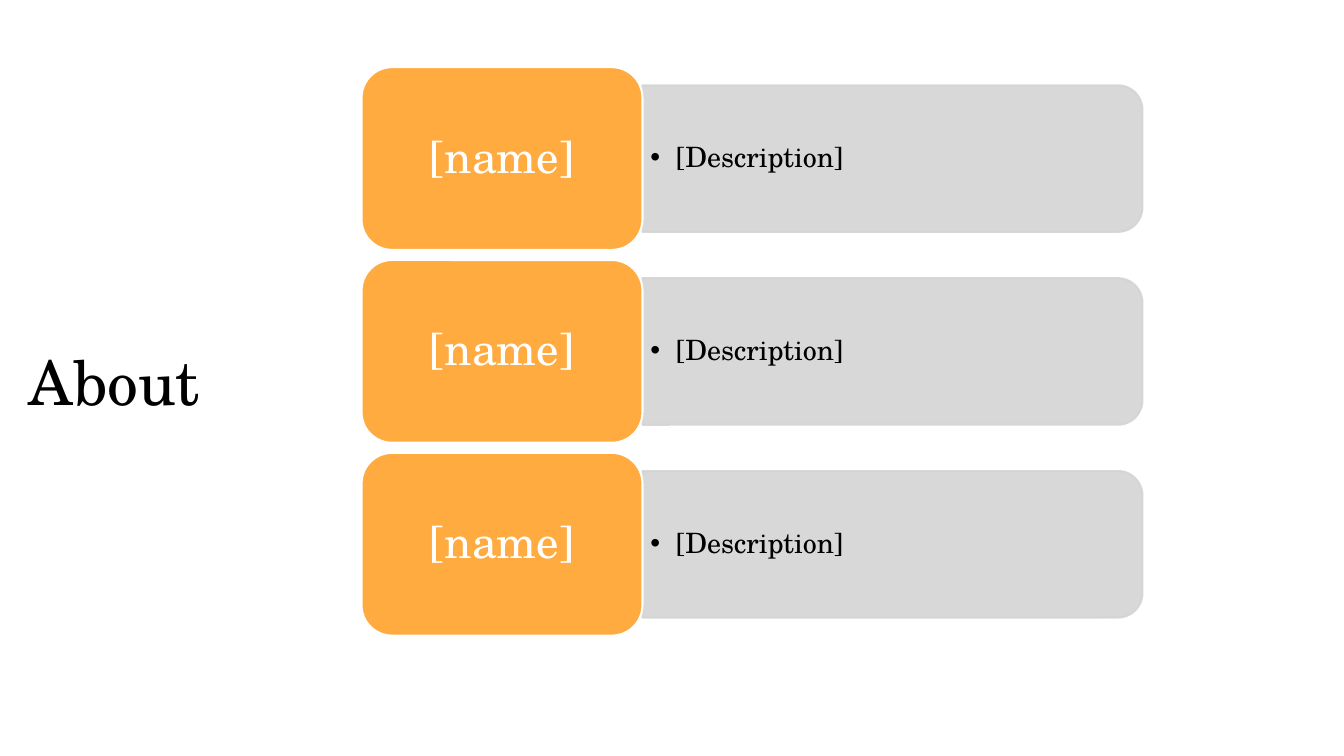
from lxml.etree import SubElement
from pptx import Presentation
from pptx.dml.color import RGBColor
from pptx.enum.shapes import MSO_SHAPE
from pptx.enum.text import MSO_ANCHOR, MSO_AUTO_SIZE, PP_ALIGN
from pptx.oxml.ns import qn
from pptx.util import Inches, Pt

COLORS = {"card": "FFAB40", "panel": "D4D4D5", "white": "FFFFFF", "black": "000000"}
FONT = "TeX Gyre Schola"
ROWS = [("[name]", "[Description]")] * 3

# Row grid, in inches
FIRST_TOP, LAST_TOP = 0.5, 3.37
ROW_PITCH = (LAST_TOP - FIRST_TOP) / (len(ROWS) - 1)
CARD_LEFT, CARD_WIDTH, CARD_HEIGHT = 2.69, 2.09, 1.36
PANEL_LEFT = CARD_LEFT + CARD_WIDTH
PANEL_WIDTH, PANEL_HEIGHT = 3.72, 1.09
TEXT_WIDTH, TEXT_HEIGHT = 3.67, 0.98


def color(name):
    return RGBColor.from_string(COLORS[name])


def write_text(shape, text, size, color_name, anchor, align, margins):
    """Write one formatted paragraph and return it."""
    frame = shape.text_frame
    frame.word_wrap = True
    frame.auto_size = MSO_AUTO_SIZE.NONE
    frame.vertical_anchor = anchor
    frame.margin_left = frame.margin_right = Inches(margins[0])
    frame.margin_top = frame.margin_bottom = Inches(margins[1])
    paragraph = frame.paragraphs[0]
    paragraph.alignment = align
    paragraph.line_spacing = 0.9
    run = paragraph.add_run()
    run.text = text
    run.font.name = FONT
    run.font.size = Pt(size)
    run.font.color.rgb = color(color_name)
    return paragraph


def add_bullet(paragraph):
    paragraph.level = 1
    properties = paragraph._p.get_or_add_pPr()
    properties.set("marL", str(Inches(0.19)))
    properties.set("indent", str(Inches(-0.19)))
    bullet_color = SubElement(properties, qn("a:buClr"))
    SubElement(bullet_color, qn("a:srgbClr"), val=COLORS["black"])
    SubElement(properties, qn("a:buFont"), typeface="Arial")
    SubElement(properties, qn("a:buChar"), char="•")


def add_block(slide, preset, left, top, width, height, fill, line):
    shape = slide.shapes.add_shape(
        preset, Inches(left), Inches(top), Inches(width), Inches(height))
    shape.shadow.inherit = False
    shape.adjustments[0] = 0.167
    shape.fill.solid()
    shape.fill.fore_color.rgb = color(fill)
    shape.line.color.rgb = color(line)
    shape.line.width = Pt(1.1)
    return shape


def add_panel(slide, middle, description):
    # The preset is rounded at the top, so a quarter turn rounds the right side
    center = PANEL_LEFT + PANEL_WIDTH / 2
    panel = add_block(slide, MSO_SHAPE.ROUND_2_SAME_RECTANGLE,
                      center - PANEL_HEIGHT / 2, middle - PANEL_WIDTH / 2,
                      PANEL_HEIGHT, PANEL_WIDTH, "panel", "panel")
    panel.rotation = 90
    for rgb in panel._element.spPr.iter(qn("a:srgbClr")):
        SubElement(rgb, qn("a:alpha"), val="90000")

    # Upright text over the turned panel
    box = slide.shapes.add_textbox(
        Inches(PANEL_LEFT), Inches(middle - TEXT_HEIGHT / 2),
        Inches(TEXT_WIDTH), Inches(TEXT_HEIGHT))
    paragraph = write_text(box, description, 15, "black", MSO_ANCHOR.MIDDLE,
                           PP_ALIGN.LEFT, (0.06, 0.03))
    add_bullet(paragraph)


def add_card(slide, top, name):
    card = add_block(slide, MSO_SHAPE.ROUNDED_RECTANGLE, CARD_LEFT, top,
                     CARD_WIDTH, CARD_HEIGHT, "card", "white")
    write_text(card, name, 24, "white", MSO_ANCHOR.MIDDLE,
               PP_ALIGN.CENTER, (0.1, 0.05))


def add_title(slide, text):
    title = slide.shapes.title
    title.left, title.top = Inches(0.14), Inches(2.07)
    title.width, title.height = Inches(7.95), Inches(1.09)
    write_text(title, text, 33, "black", MSO_ANCHOR.BOTTOM,
               PP_ALIGN.LEFT, (0.07, 0.04))


def main():
    presentation = Presentation()
    # Widescreen, 16:9
    presentation.slide_width = Inches(10)
    presentation.slide_height = Inches(10 * 9 / 16)
    slide = presentation.slides.add_slide(presentation.slide_layouts[5])

    add_title(slide, "About")
    for index, (name, description) in enumerate(ROWS):
        top = FIRST_TOP + index * ROW_PITCH
        add_panel(slide, top + CARD_HEIGHT / 2, description)
        add_card(slide, top, name)

    presentation.save("out.pptx")


main()
